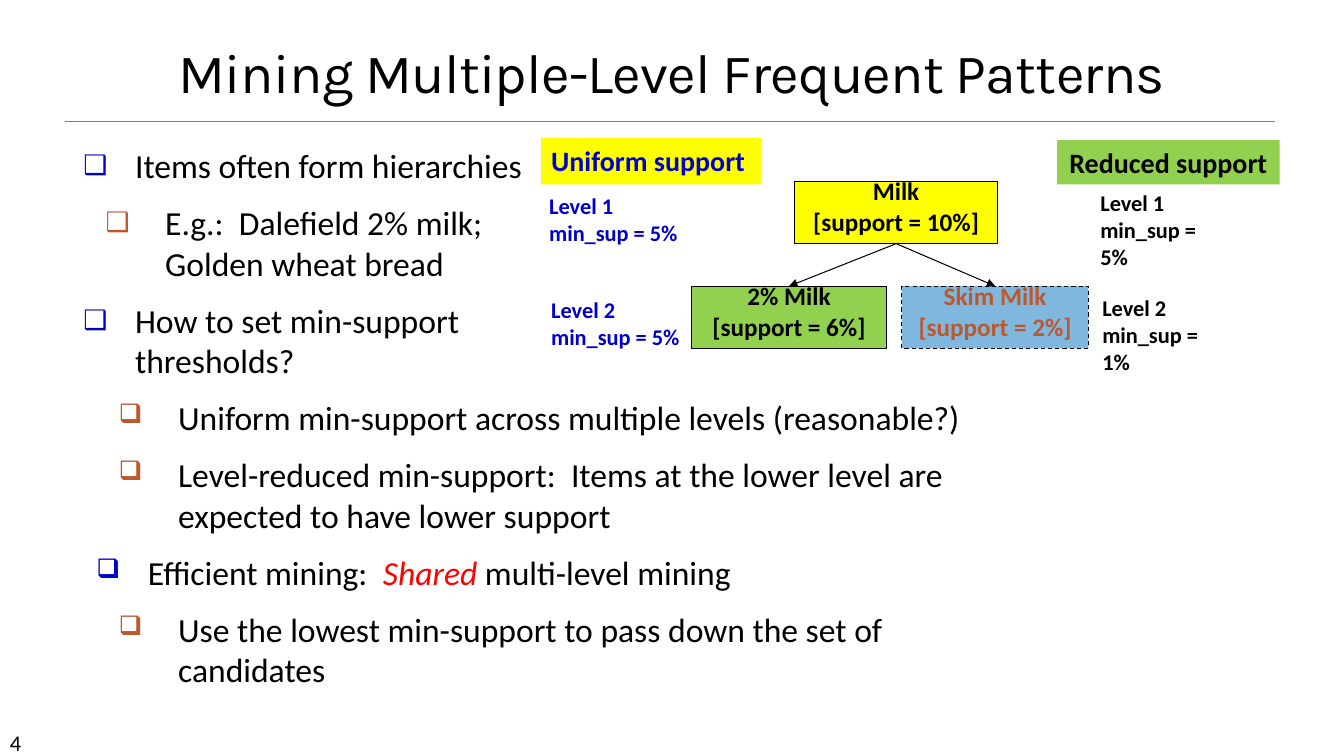
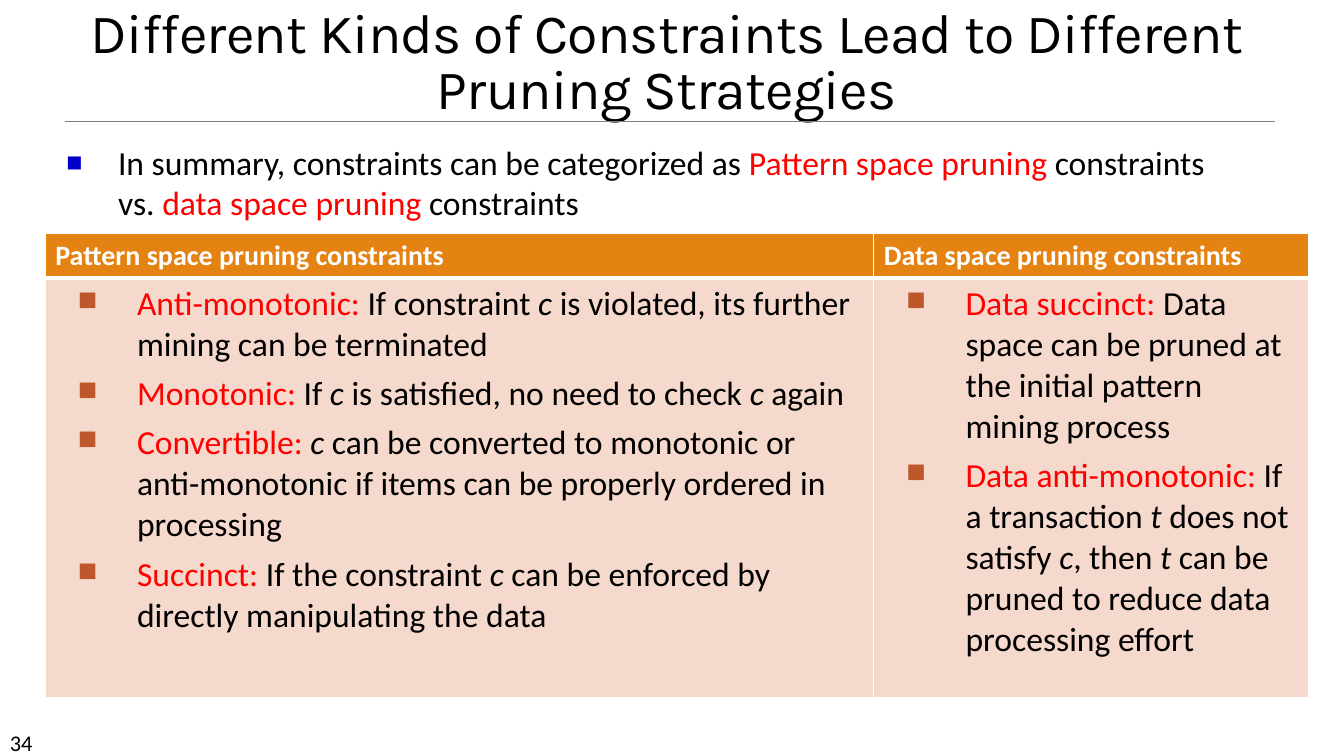
from dataclasses import dataclass
from typing import Sequence

from lxml import etree
from pptx import Presentation
from pptx.dml.color import RGBColor
from pptx.enum.dml import MSO_LINE
from pptx.enum.shapes import MSO_CONNECTOR, MSO_SHAPE
from pptx.enum.text import MSO_ANCHOR, MSO_AUTO_SIZE, PP_ALIGN
from pptx.oxml.ns import qn
from pptx.util import Cm, Pt

LEFT, CENTER = PP_ALIGN.LEFT, PP_ALIGN.CENTER
TOP, BOTTOM = MSO_ANCHOR.TOP, MSO_ANCHOR.BOTTOM
NO_AUTOFIT = MSO_AUTO_SIZE.NONE
RECTANGLE = MSO_SHAPE.RECTANGLE
STRAIGHT = MSO_CONNECTOR.STRAIGHT
DASH = MSO_LINE.DASH
TOP_SITE, BOTTOM_SITE = 0, 2

TITLE_FONT, BODY_FONT = "Karla", "Calibri"
COLORS = {
    "black": "000000", "white": "FFFFFF", "gray": "808080", "red": "FF0000",
    "blue": "0000CC", "rust": "BD582C", "yellow": "FFFF00", "green": "92D050",
    "sky": "0070C0", "orange": "E48312", "peach": "F5D9CC",
}
LEVEL_INDENTS = ((1.3, 1.3, "blue"), (2.06, 1.5, "rust"))


@dataclass(frozen=True)
class Box:
    left: float
    top: float
    width: float
    height: float

    def lengths(self) -> tuple:
        return Cm(self.left), Cm(self.top), Cm(self.width), Cm(self.height)


@dataclass(frozen=True)
class Run:
    text: str
    color: str = "black"
    italic: bool = False


@dataclass(frozen=True)
class Item:
    level: int
    runs: tuple


@dataclass(frozen=True)
class ListStyle:
    bullet: str
    before: float
    after: float


@dataclass(frozen=True)
class Label:
    box: Box
    lines: tuple
    size: float
    color: str = "black"
    fill: str = ""
    alignment: int = LEFT
    outlined: bool = False
    dashed: bool = False
    opacity: int = 100
    line_spacing: float = 1.0
    before: float = 0


HOLLOW = ListStyle("❑", 6, 6)
SOLID = ListStyle("■", 6, 0)


def rgb(name: str) -> RGBColor:
    return RGBColor.from_string(COLORS[name])


def add_run(paragraph, run: Run, size: float, bold: bool = False, font: str = BODY_FONT):
    added = paragraph.add_run()
    added.text = run.text
    added.font.name = font
    added.font.size = Pt(size)
    added.font.bold = bold
    added.font.italic = run.italic
    added.font.color.rgb = rgb(run.color)
    return added


def next_paragraph(frame, index: int):
    return frame.paragraphs[0] if index == 0 else frame.add_paragraph()


def prepare_frame(frame, anchor: int = TOP) -> None:
    frame.word_wrap = True
    frame.auto_size = NO_AUTOFIT
    frame.vertical_anchor = anchor


def add_items(frame, items: Sequence[Item], style: ListStyle) -> None:
    for index, item in enumerate(items):
        paragraph = next_paragraph(frame, index)
        paragraph.level = item.level
        margin, hanging, color = LEVEL_INDENTS[item.level]
        properties = paragraph._p.get_or_add_pPr()
        properties.set("marL", str(Cm(margin)))
        properties.set("indent", str(-Cm(hanging)))
        bullet_color = etree.SubElement(properties, qn("a:buClr"))
        etree.SubElement(bullet_color, qn("a:srgbClr"), val=COLORS[color])
        etree.SubElement(properties, qn("a:buSzPct"), val="80000")
        etree.SubElement(properties, qn("a:buChar"), char=style.bullet)
        paragraph.space_before = Pt(style.before if index else 0)
        paragraph.space_after = Pt(style.after)
        for run in item.runs:
            add_run(paragraph, run, 24)


def add_label(slide, label: Label):
    if label.fill:
        shape = slide.shapes.add_shape(RECTANGLE, *label.box.lengths())
        shape.shadow.inherit = False
        shape.fill.solid()
        shape.fill.fore_color.rgb = rgb(label.fill)
        if label.opacity < 100:
            color = shape._element.spPr.find(qn("a:solidFill")).find(qn("a:srgbClr"))
            etree.SubElement(color, qn("a:alpha"), val=str(label.opacity * 1000))
        if label.outlined:
            shape.line.color.rgb = rgb("black")
            shape.line.width = Pt(0.75)
            if label.dashed:
                shape.line.dash_style = DASH
        else:
            shape.line.fill.background()
    else:
        shape = slide.shapes.add_textbox(*label.box.lengths())
    frame = shape.text_frame
    prepare_frame(frame)
    for index, line in enumerate(label.lines):
        paragraph = next_paragraph(frame, index)
        paragraph.alignment = label.alignment
        paragraph.line_spacing = label.line_spacing
        paragraph.space_before = Pt(label.before if index else 0)
        add_run(paragraph, Run(line, label.color), label.size, bold=True)
    return shape


def add_line(slide, start: tuple, end: tuple, color: str, width: float):
    line = slide.shapes.add_connector(STRAIGHT, *(Cm(value) for value in start + end))
    line.line.color.rgb = rgb(color)
    line.line.width = Pt(width)
    etree.SubElement(line._element.spPr, qn("a:effectLst"))
    return line


def add_arrow(slide, parent, child) -> None:
    arrow = add_line(slide, (0, 0), (1, 1), "black", 0.75)
    arrow.begin_connect(parent, BOTTOM_SITE)
    arrow.end_connect(child, TOP_SITE)
    etree.SubElement(arrow.line._get_or_add_ln(), qn("a:tailEnd"), type="triangle")


def place(shape, box: Box) -> None:
    shape.left, shape.top, shape.width, shape.height = box.lengths()


def add_content_slide(presentation, title: str, title_box: Box, number: str,
                      body_box: Box, items: Sequence[Item], style: ListStyle):
    slide = presentation.slides.add_slide(presentation.slide_layouts[1])
    add_line(slide, (1.65, 3.05), (32.13, 3.05), "gray", 0.5)
    heading, body = slide.shapes.title, slide.placeholders[1]
    place(heading, title_box)
    prepare_frame(heading.text_frame, BOTTOM)
    paragraph = heading.text_frame.paragraphs[0]
    paragraph.alignment = CENTER
    paragraph.line_spacing = 0.85
    run = add_run(paragraph, Run(title), 39.6, font=TITLE_FONT)
    run.font._element.set("spc", "-50")
    place(body, body_box)
    prepare_frame(body.text_frame)
    add_items(body.text_frame, items, style)
    page = slide.shapes.add_textbox(*Box(0, 18.24, 2.97, 0.76).lengths())
    prepare_frame(page.text_frame)
    add_run(page.text_frame.paragraphs[0], Run(number), 16)
    return slide


def style_cell(cell, fill: str, borders: dict) -> None:
    cell.fill.solid()
    cell.fill.fore_color.rgb = rgb(fill)
    properties = cell._tc.get_or_add_tcPr()
    for index, side in enumerate(("lnL", "lnR", "lnT", "lnB")):
        border = etree.Element(qn(f"a:{side}"), w=str(Pt(borders.get(side, 1))))
        solid = etree.SubElement(border, qn("a:solidFill"))
        etree.SubElement(solid, qn("a:srgbClr"), val=COLORS["white"])
        properties.insert(index, border)


def add_constraint_table(slide, columns: Sequence[tuple]) -> None:
    widths, heights = (20.88, 10.97), (1.09, 10.57)
    box = Box(1.14, 5.89, sum(widths), sum(heights))
    table = slide.shapes.add_table(2, 2, *box.lengths()).table
    for row, height in zip(table.rows, heights):
        row.height = Cm(height)
    for index, (heading, items) in enumerate(columns):
        table.columns[index].width = Cm(widths[index])
        header, body = table.cell(0, index), table.cell(1, index)
        style_cell(header, "orange", {"lnB": 3})
        style_cell(body, "peach", {"lnT": 3})
        add_run(header.text_frame.paragraphs[0], Run(heading, "white"), 20, bold=True)
        add_items(body.text_frame, items, SOLID)


def build_multilevel_slide(presentation) -> None:
    slide = add_content_slide(
        presentation, "Mining Multiple-Level Frequent Patterns",
        Box(0.56, 1.07, 32.74, 1.7), "4", Box(1.85, 3.53, 11.71, 5.97),
        (Item(0, (Run("Items often form hierarchies"),)),
         Item(1, (Run("E.g.:  Dalefield 2% milk; Golden wheat bread"),)),
         Item(0, (Run("How to set min-support thresholds?"),))), HOLLOW)
    for label in (
        Label(Box(13.64, 3.48, 5.54, 1.17), ("Uniform support",), 20, "blue", "yellow"),
        Label(Box(26.64, 3.53, 5.61, 1.12), ("Reduced support",), 20, fill="green",
              alignment=CENTER),
        Label(Box(13.59, 4.72, 3.78, 1.63), ("Level 1", "min_sup = 5%"), 16, "blue"),
        Label(Box(13.64, 7.34, 3.78, 1.63), ("Level 2", "min_sup = 5%"), 16, "blue"),
        Label(Box(27.48, 4.65, 3.56, 1.63), ("Level 1", "min_sup = 5%"), 16),
        Label(Box(27.53, 7.29, 3.56, 1.63), ("Level 2", "min_sup = 1%"), 16),
    ):
        add_label(slide, label)
    node = {"size": 18, "alignment": CENTER, "outlined": True,
            "line_spacing": 0.6, "before": 9}
    milk, low_fat, skim = (add_label(slide, label) for label in (
        Label(Box(20.02, 4.57, 5.13, 1.57), ("Milk", "[support = 10%]"),
              fill="yellow", **node),
        Label(Box(17.42, 7.21, 4.93, 1.57), ("2% Milk", "[support = 6%]"),
              fill="green", **node),
        Label(Box(22.73, 7.21, 4.7, 1.57), ("Skim Milk", "[support = 2%]"),
              color="rust", fill="sky", opacity=50, dashed=True, **node),
    ))
    for child in (low_fat, skim):
        add_arrow(slide, milk, child)
    strategies = slide.shapes.add_textbox(*Box(2.18, 9.88, 22.28, 6.3).lengths())
    prepare_frame(strategies.text_frame)
    add_items(strategies.text_frame, (
        Item(1, (Run("Uniform min-support across multiple levels (reasonable?)"),)),
        Item(1, (Run("Level-reduced min-support:  Items at the lower level are "
                     "expected to have lower support"),)),
        Item(0, (Run("Efficient mining:  "), Run("Shared", "red", True),
                 Run(" multi-level mining"))),
        Item(1, (Run("Use the lowest min-support to pass down the set of candidates"),)),
    ), HOLLOW)


def build_constraint_slide(presentation) -> None:
    slide = add_content_slide(
        presentation, "Different Kinds of Constraints Lead to Different Pruning Strategies",
        Box(1.42, 0, 30.76, 3.18), "34", Box(1.42, 3.45, 30.18, 2.4),
        (Item(0, (Run("In summary, constraints can be categorized as "),
                  Run("Pattern space pruning ", "red"), Run("constraints vs. "),
                  Run("data space pruning ", "red"), Run("constraints"))),), SOLID)
    c, t = Run("c", italic=True), Run("t", italic=True)
    pattern_items = (
        Item(1, (Run("Anti-monotonic:", "red"), Run(" If constraint "), c,
                 Run(" is violated, its further mining can be terminated"))),
        Item(1, (Run("Monotonic:", "red"), Run(" If "), c,
                 Run(" is satisfied, no need to check "), c, Run(" again"))),
        Item(1, (Run("Convertible: ", "red"), c,
                 Run(" can be converted to monotonic or anti-monotonic if items "
                     "can be properly ordered in processing"))),
        Item(1, (Run("Succinct:", "red"), Run(" If the constraint "), c,
                 Run(" can be enforced by directly manipulating the data"))),
    )
    data_items = (
        Item(1, (Run("Data succinct: ", "red"),
                 Run("Data space can be pruned at the initial pattern mining process"))),
        Item(1, (Run("Data anti-monotonic: ", "red"), Run("If a transaction "), t,
                 Run(" does not satisfy "), c, Run(", then "), t,
                 Run(" can be pruned to reduce data processing effort"))),
    )
    add_constraint_table(slide, (("Pattern space pruning constraints", pattern_items),
                                 ("Data space pruning constraints", data_items)))


def main() -> None:
    presentation = Presentation()
    presentation.slide_width, presentation.slide_height = Cm(33.87), Cm(19.05)
    build_multilevel_slide(presentation)
    build_constraint_slide(presentation)
    presentation.save("out.pptx")


if __name__ == "__main__":
    main()
